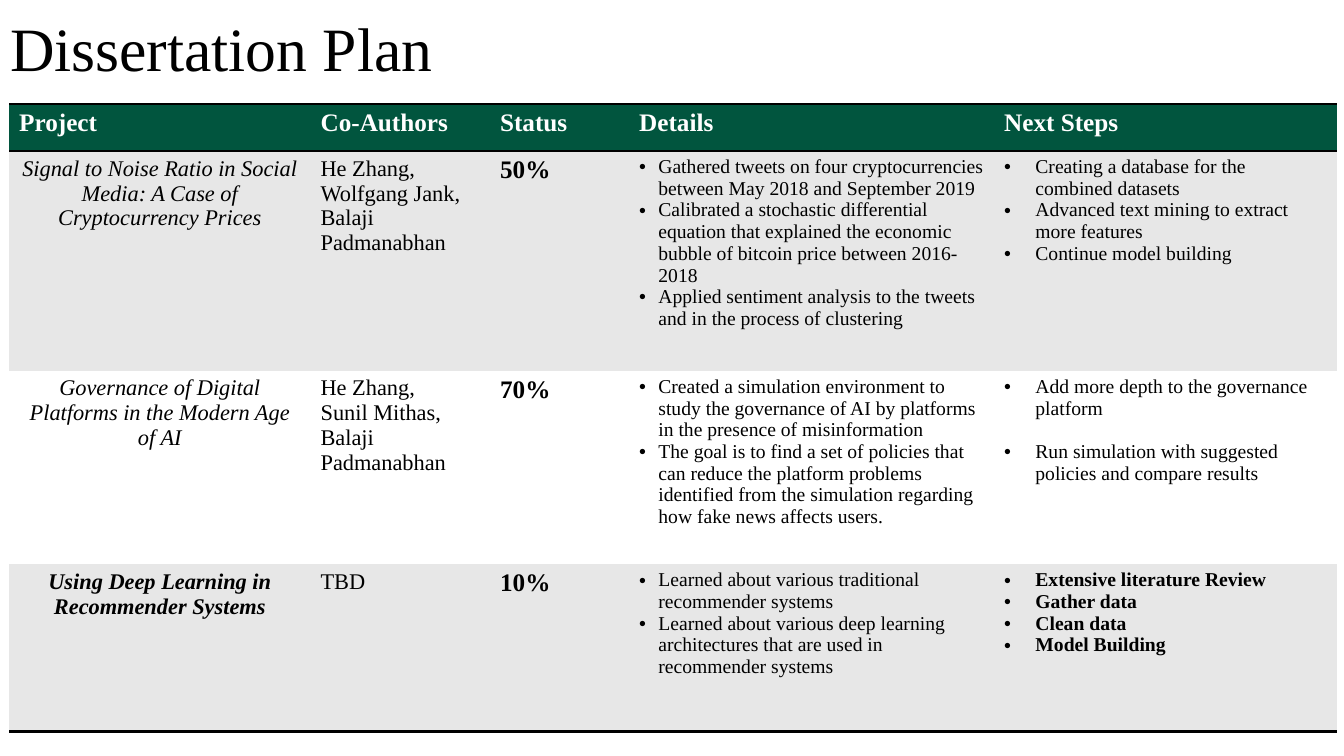
"""Build the dissertation plan slide with its project table."""
from dataclasses import dataclass

from lxml import etree
from pptx import Presentation
from pptx.dml.color import RGBColor
from pptx.enum import text
from pptx.oxml import ns
from pptx.util import Inches, Pt


@dataclass(frozen=True)
class Theme:
    """Colours, font and type sizes of the slide."""
    font: str = "Times New Roman"
    black: str = "000000"
    white: str = "FFFFFF"
    green: str = "01553E"
    band: str = "E7E7E7"
    title_size: float = 44
    strong_size: float = 18
    body_size: float = 16
    list_size: float = 14
    rule_width: float = 2


@dataclass(frozen=True)
class Project:
    """One project row of the plan."""
    name: str
    authors: str
    status: str
    details: tuple
    steps: tuple
    strong: bool = False
    step_gap: float = 0


THEME = Theme()
NO_STYLE = "{2D5ABB26-0587-4C30-8999-92F81FD0307C}"
HEADINGS = ("Project", "Co-Authors", "Status", "Details", "Next Steps")
COLUMN_WIDTHS = (2.99, 1.78, 1.38, 3.62, 3.4)
ROW_HEIGHTS = (0.47, 2.18, 1.92, 1.66)
DETAIL_INDENT = 0.19
STEP_INDENT = 0.31
PROJECTS = (
    Project(
        "Signal to Noise Ratio in Social Media: A Case of Cryptocurrency Prices",
        "He Zhang, \nWolfgang Jank, \nBalaji Padmanabhan",
        "50%",
        ("Gathered tweets on four cryptocurrencies between May 2018 and September 2019",
         "Calibrated a stochastic differential equation that explained the economic "
         "bubble of bitcoin price between 2016-2018",
         "Applied sentiment analysis to the tweets and in the process of clustering"),
        ("Creating a database for the combined datasets",
         "Advanced text mining to extract more features",
         "Continue model building"),
    ),
    Project(
        "Governance of Digital Platforms in the Modern Age of AI",
        "He Zhang, \nSunil Mithas, \nBalaji Padmanabhan",
        "70%",
        ("Created a simulation environment to study the governance of AI by platforms "
         "in the presence of misinformation",
         "The goal is to find a set of policies that can reduce the platform problems "
         "identified from the simulation regarding how fake news affects users."),
        ("Add more depth to the governance platform",
         "Run simulation with suggested policies and compare results"),
        step_gap=15.5,
    ),
    Project(
        "Using Deep Learning in Recommender Systems",
        "TBD",
        "10%",
        ("Learned about various traditional recommender systems",
         "Learned about various deep learning architectures that are used in "
         "recommender systems"),
        ("Extensive literature Review", "Gather data", "Clean data", "Model Building"),
        strong=True,
    ),
)


def style_font(paragraph, size, color=THEME.black, bold=False, italic=False):
    """Set the font of a whole paragraph."""
    font = paragraph.font
    font.name = THEME.font
    font.size = Pt(size)
    font.bold = bold
    font.italic = italic
    font.color.rgb = RGBColor.from_string(color)


def add_title(slide, title):
    """Place and format the title placeholder."""
    shape = slide.shapes.title
    shape.left, shape.top = Inches(0), Inches(0)
    shape.width, shape.height = Inches(13.33), Inches(1.03)
    frame = shape.text_frame
    frame.text = title
    frame.auto_size = text.MSO_AUTO_SIZE.NONE
    frame.vertical_anchor = text.MSO_ANCHOR.MIDDLE
    paragraph = frame.paragraphs[0]
    paragraph.alignment = text.PP_ALIGN.LEFT
    paragraph.line_spacing = 0.9
    style_font(paragraph, THEME.title_size)


def add_rules(cell, sides):
    """Draw black rules on the given sides of a cell."""
    properties = cell._tc.get_or_add_tcPr()
    for side in sides:
        line = etree.SubElement(properties, ns.qn(f"a:ln{side}"), w=str(Pt(THEME.rule_width)))
        fill = etree.SubElement(line, ns.qn("a:solidFill"))
        etree.SubElement(fill, ns.qn("a:srgbClr"), val=THEME.black)


def fill_cell(cell, color):
    """Give a cell a solid fill."""
    cell.fill.solid()
    cell.fill.fore_color.rgb = RGBColor.from_string(color)


def write_cell(cell, content, size, align=text.PP_ALIGN.LEFT, **font):
    """Write one paragraph in a cell."""
    paragraph = cell.text_frame.paragraphs[0]
    paragraph.text = content
    paragraph.alignment = align
    style_font(paragraph, size, **font)


def write_bullets(cell, items, indent, bold=False, gap=0):
    """Write a bulleted list in a cell."""
    frame = cell.text_frame
    for index, item in enumerate(items):
        paragraph = frame.add_paragraph() if index else frame.paragraphs[0]
        paragraph.text = item
        paragraph.space_before = Pt(gap if index else 0)
        style_font(paragraph, THEME.list_size, bold=bold)
        properties = paragraph._p.get_or_add_pPr()
        properties.set("marL", str(Inches(indent)))
        properties.set("indent", str(-Inches(indent)))
        bullet_font = etree.Element(ns.qn("a:buFont"), typeface="Arial")
        bullet = etree.Element(ns.qn("a:buChar"), char="•")
        properties.find(ns.qn("a:defRPr")).addprevious(bullet_font)
        bullet_font.addnext(bullet)


def write_project(cells, project):
    """Write the five cells of a project row."""
    name, authors, status, details, steps = cells
    write_cell(name, project.name, THEME.body_size, text.PP_ALIGN.CENTER,
               bold=project.strong, italic=True)
    write_cell(authors, project.authors, THEME.body_size)
    write_cell(status, project.status, THEME.strong_size, bold=True)
    write_bullets(details, project.details, DETAIL_INDENT)
    write_bullets(steps, project.steps, STEP_INDENT, project.strong, project.step_gap)


def add_plan_table(slide):
    """Add the table of projects."""
    frame = slide.shapes.add_table(
        len(ROW_HEIGHTS), len(COLUMN_WIDTHS), Inches(0.09), Inches(1.03),
        Inches(sum(COLUMN_WIDTHS)), Inches(sum(ROW_HEIGHTS)))
    table = frame.table
    table._tbl.tblPr.find(ns.qn("a:tableStyleId")).text = NO_STYLE
    for column, width in zip(table.columns, COLUMN_WIDTHS):
        column.width = Inches(width)
    last = len(ROW_HEIGHTS) - 1
    for index, (row, height) in enumerate(zip(table.rows, ROW_HEIGHTS)):
        row.height = Inches(height)
        color = THEME.band if index % 2 else THEME.white
        for cell in row.cells:
            add_rules(cell, {0: "TB", last: "B"}.get(index, ""))
            fill_cell(cell, color if index else THEME.green)
    for cell, heading in zip(table.rows[0].cells, HEADINGS):
        write_cell(cell, heading, THEME.strong_size, color=THEME.white, bold=True)
    for index, project in enumerate(PROJECTS, start=1):
        write_project(table.rows[index].cells, project)


def main():
    """Build and save the presentation."""
    presentation = Presentation()
    presentation.slide_width = Inches(13.33)
    presentation.slide_height = Inches(7.5)
    slide = presentation.slides.add_slide(presentation.slide_layouts[5])
    add_title(slide, "Dissertation Plan")
    add_plan_table(slide)
    presentation.save("out.pptx")


if __name__ == "__main__":
    main()
